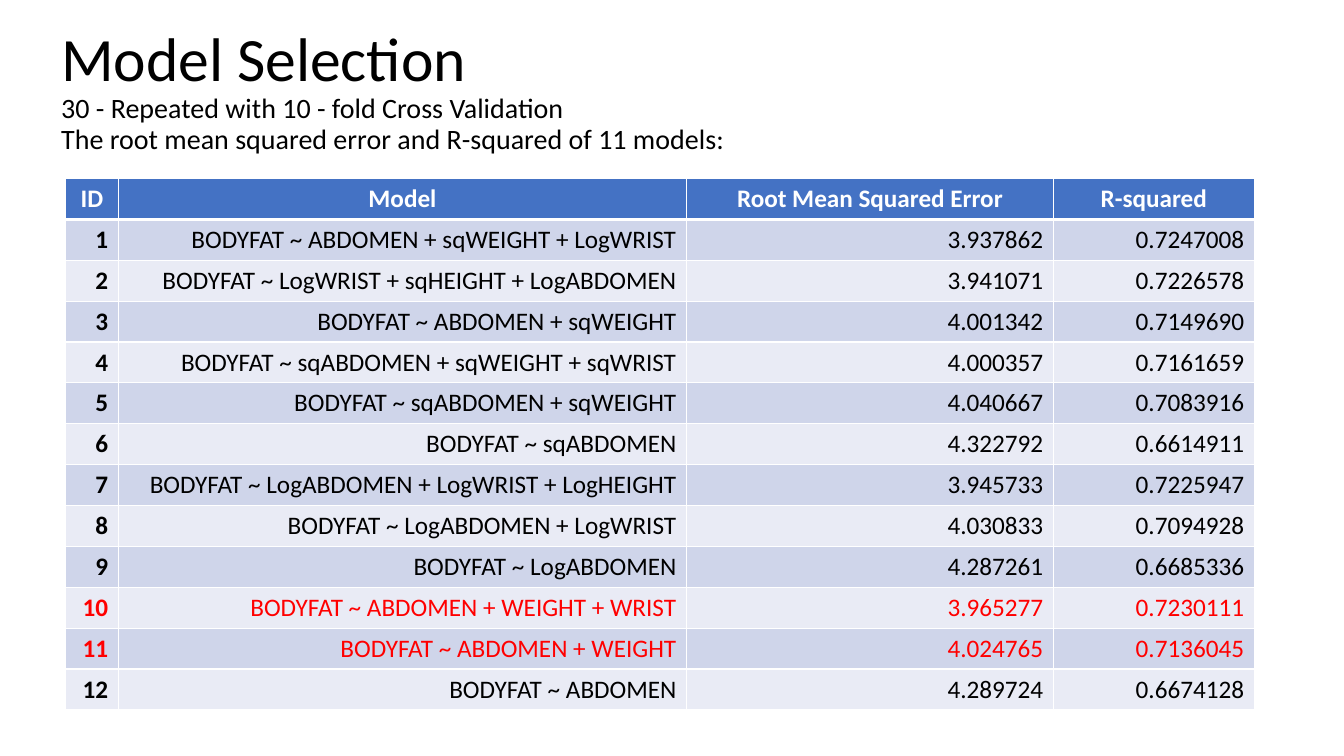
import copy

import pptx
import pptx.dml.color
import pptx.enum.text
import pptx.oxml
import pptx.oxml.ns
import pptx.util

Pt = pptx.util.Pt
ALIGN = pptx.enum.text.PP_ALIGN
ANCHOR = pptx.enum.text.MSO_ANCHOR

COLORS = {
    "black": "000000",
    "white": "FFFFFF",
    "red": "FF0000",
    "head": "4472C4",
    "odd": "CFD5EA",
    "even": "E9EBF5",
}
FONT = "Calibri"
WIDTHS = [37.5, 406, 262, 143.5]
HEIGHT = 29.2
HEADS = ["ID", "Model", "Root Mean Squared Error", "R-squared"]
MODELS = [
    ("ABDOMEN + sqWEIGHT + LogWRIST", "3.937862", "0.7247008"),
    ("LogWRIST + sqHEIGHT + LogABDOMEN", "3.941071", "0.7226578"),
    ("ABDOMEN + sqWEIGHT", "4.001342", "0.7149690"),
    ("sqABDOMEN + sqWEIGHT + sqWRIST", "4.000357", "0.7161659"),
    ("sqABDOMEN + sqWEIGHT", "4.040667", "0.7083916"),
    ("sqABDOMEN", "4.322792", "0.6614911"),
    ("LogABDOMEN + LogWRIST + LogHEIGHT", "3.945733", "0.7225947"),
    ("LogABDOMEN + LogWRIST", "4.030833", "0.7094928"),
    ("LogABDOMEN", "4.287261", "0.6685336"),
    ("ABDOMEN + WEIGHT + WRIST", "3.965277", "0.7230111"),
    ("ABDOMEN + WEIGHT", "4.024765", "0.7136045"),
    ("ABDOMEN", "4.289724", "0.6674128"),
]
CHOSEN = (10, 11)


def rgb(name):
    return pptx.dml.color.RGBColor.from_string(COLORS[name])


def write(para, text, size=18, color="black", bold=False, align=ALIGN.LEFT):
    """Add text to a paragraph; each newline becomes a line break."""
    para.alignment = align
    for i, line in enumerate(text.split("\n")):
        if i:
            # The break keeps the size of the line that it ends
            gap = para._p.add_br()
            gap.append(copy.deepcopy(run._r.rPr))
        run = para.add_run()
        run.text = line
        run.font.name = FONT
        run.font.size = Pt(size)
        run.font.bold = bold
        run.font.color.rgb = rgb(color)


def add_title(slide):
    title = slide.shapes.title
    title.left, title.top = Pt(36.5), Pt(-6.5)
    title.width, title.height = Pt(828), Pt(144)
    frame = title.text_frame
    frame.word_wrap = True
    frame.auto_size = pptx.enum.text.MSO_AUTO_SIZE.NONE
    frame.vertical_anchor = ANCHOR.MIDDLE
    para = frame.paragraphs[0]
    para.line_spacing = 0.9
    write(para, "Model Selection\n", size=44)
    write(para, "30 - Repeated with 10 - fold Cross Validation\n"
                "The root mean squared error and R-squared of 11 models:", size=20)


def add_edges(cell, **widths):
    props = cell._tc.get_or_add_tcPr()
    for side in "LRTB":
        width = Pt(widths.get(side, 1))
        props.append(pptx.oxml.parse_xml(
            f'<a:ln{side} {pptx.oxml.ns.nsdecls("a")} w="{width}"><a:solidFill>'
            f'<a:srgbClr val="{COLORS["white"]}"/></a:solidFill></a:ln{side}>'))


def fill_cell(cell, text, fill, anchor, edges, **style):
    add_edges(cell, **edges)
    cell.fill.solid()
    cell.fill.fore_color.rgb = rgb(fill)
    cell.vertical_anchor = anchor
    write(cell.text_frame.paragraphs[0], text, **style)


def add_models(slide):
    count = len(MODELS) + 1
    table = slide.shapes.add_table(
        count, len(HEADS), Pt(47), Pt(127.5),
        Pt(sum(WIDTHS)), Pt(HEIGHT * count)).table
    table.horz_banding = False
    for column, width in zip(table.columns, WIDTHS):
        column.width = Pt(width)
    for row in table.rows:
        row.height = Pt(HEIGHT)

    # Header row
    for col, head in enumerate(HEADS):
        fill_cell(table.cell(0, col), head, "head", ANCHOR.TOP, {"B": 3},
                  color="white", bold=True, align=ALIGN.CENTER)

    # One row for each model
    for num, (terms, error, square) in enumerate(MODELS, 1):
        fill = "odd" if num % 2 else "even"
        color = "red" if num in CHOSEN else "black"
        edges = {"T": 3} if num == 1 else {}
        values = [str(num), f"BODYFAT ~ {terms}", error, square]
        for col, value in enumerate(values):
            fill_cell(table.cell(num, col), value, fill, ANCHOR.MIDDLE, edges,
                      color=color, bold=col == 0, align=ALIGN.RIGHT)


def main():
    deck = pptx.Presentation()
    deck.slide_width, deck.slide_height = Pt(960), Pt(540)
    slide = deck.slides.add_slide(deck.slide_layouts[5])
    add_title(slide)
    add_models(slide)
    deck.save("out.pptx")


if __name__ == "__main__":
    main()
